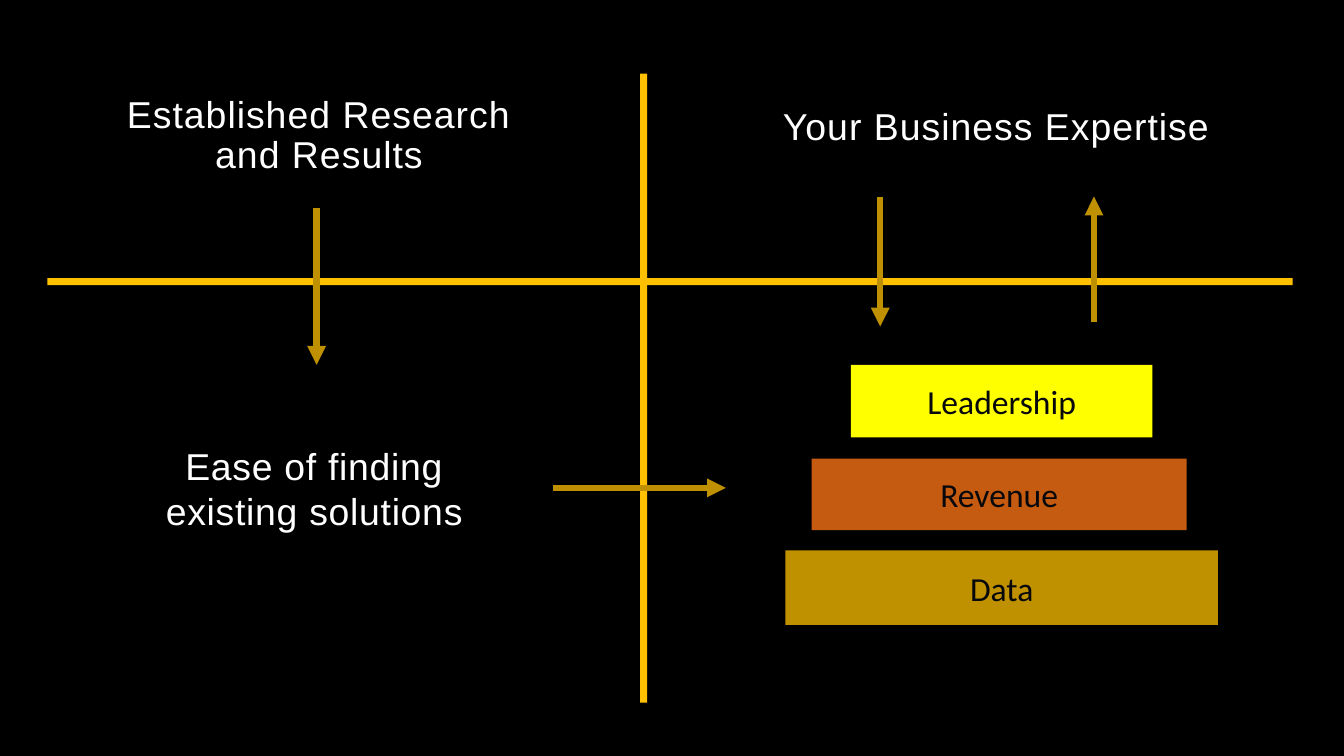
import dataclasses

import pptx
import pptx.dml.color
import pptx.enum.shapes
import pptx.enum.text
import pptx.oxml
import pptx.oxml.ns
import pptx.util
from pptx.util import Inches


@dataclasses.dataclass(frozen=True)
class Theme:
    background: str = "000000"
    heading: str = "FFFFFF"
    label: str = "07080B"
    divider: str = "FFC000"
    gold: str = "BF9000"
    yellow: str = "FFFF00"
    orange: str = "C55A11"
    heading_font: str = "Arial"
    label_font: str = "Calibri"
    heading_size: float = 26.7
    label_size: float = 24
    arrow_width: float = 4.5


THEME = Theme()


def rgb(code):
    return pptx.dml.color.RGBColor.from_string(code)


def add_block(page, left, top, width, height, color):
    block = page.shapes.add_shape(
        pptx.enum.shapes.MSO_SHAPE.RECTANGLE,
        Inches(left), Inches(top), Inches(width), Inches(height))
    block.shadow.inherit = False
    block.fill.solid()
    block.fill.fore_color.rgb = rgb(color)
    block.line.fill.background()
    return block


def write_centred(shape, text, font, size, color):
    """Fill a shape with one centred paragraph and return its span."""
    frame = shape.text_frame
    frame.word_wrap = True
    frame.vertical_anchor = pptx.enum.text.MSO_ANCHOR.MIDDLE
    frame.text = text
    para = frame.paragraphs[0]
    para.alignment = pptx.enum.text.PP_ALIGN.CENTER
    span = para.runs[0]
    span.font.name = font
    span.font.size = pptx.util.Pt(size)
    span.font.color.rgb = rgb(color)
    return span


def add_heading(page, text, left, top, width, height, line_spacing, tracking):
    """Add a heading; tracking is in hundredths of a point."""
    box = page.shapes.add_textbox(
        Inches(left), Inches(top), Inches(width), Inches(height))
    span = write_centred(
        box, text, THEME.heading_font, THEME.heading_size, THEME.heading)
    span.font._element.set("spc", str(tracking))
    box.text_frame.paragraphs[0].line_spacing = line_spacing


def add_level(page, text, left, top, width, height, color):
    block = add_block(page, left, top, width, height, color)
    write_centred(
        block, text, THEME.label_font, THEME.label_size, THEME.label)


def add_arrow(page, start_x, start_y, end_x, end_y):
    arrow = page.shapes.add_connector(
        pptx.enum.shapes.MSO_CONNECTOR.STRAIGHT,
        Inches(start_x), Inches(start_y), Inches(end_x), Inches(end_y))
    arrow.line.color.rgb = rgb(THEME.gold)
    arrow.line.width = pptx.util.Pt(THEME.arrow_width)
    head = pptx.oxml.parse_xml(
        f'<a:tailEnd {pptx.oxml.ns.nsdecls("a")} type="triangle"/>')
    arrow.line._get_or_add_ln().append(head)
    properties = arrow._element.spPr
    properties.append(
        pptx.oxml.parse_xml(f'<a:effectLst {pptx.oxml.ns.nsdecls("a")}/>'))


def main():
    deck = pptx.Presentation()
    deck.slide_width, deck.slide_height = Inches(13.33), Inches(7.5)
    page = deck.slides.add_slide(deck.slide_layouts[6])
    page.background.fill.solid()
    page.background.fill.fore_color.rgb = rgb(THEME.background)

    add_level(page, "Leadership", 8.44, 3.62, 2.99, 0.72, THEME.yellow)
    add_level(page, "Revenue", 8.05, 4.55, 3.72, 0.71, THEME.orange)
    add_level(page, "Data", 7.79, 5.46, 4.29, 0.74, THEME.gold)

    add_heading(page, "Established Research and Results",
                1.1, 0.68, 4.13, 1.35, 0.9, 70)
    add_heading(page, "Your Business Expertise",
                7.37, 0.29, 5.02, 1.96, 0.9, 70)
    add_heading(page, "Ease of finding existing solutions",
                1.19, 4.02, 3.86, 1.65, 1.0, 50)

    add_block(page, 6.35, 0.73, 0.07, 6.24, THEME.divider)
    add_block(page, 0.47, 2.76, 12.35, 0.07, THEME.divider)

    add_arrow(page, 3.14, 2.06, 3.14, 3.62)
    add_arrow(page, 8.73, 1.95, 8.73, 3.24)
    add_arrow(page, 10.85, 3.19, 10.85, 1.95)
    add_arrow(page, 5.48, 4.84, 7.2, 4.84)

    deck.save("out.pptx")


if __name__ == "__main__":
    main()
